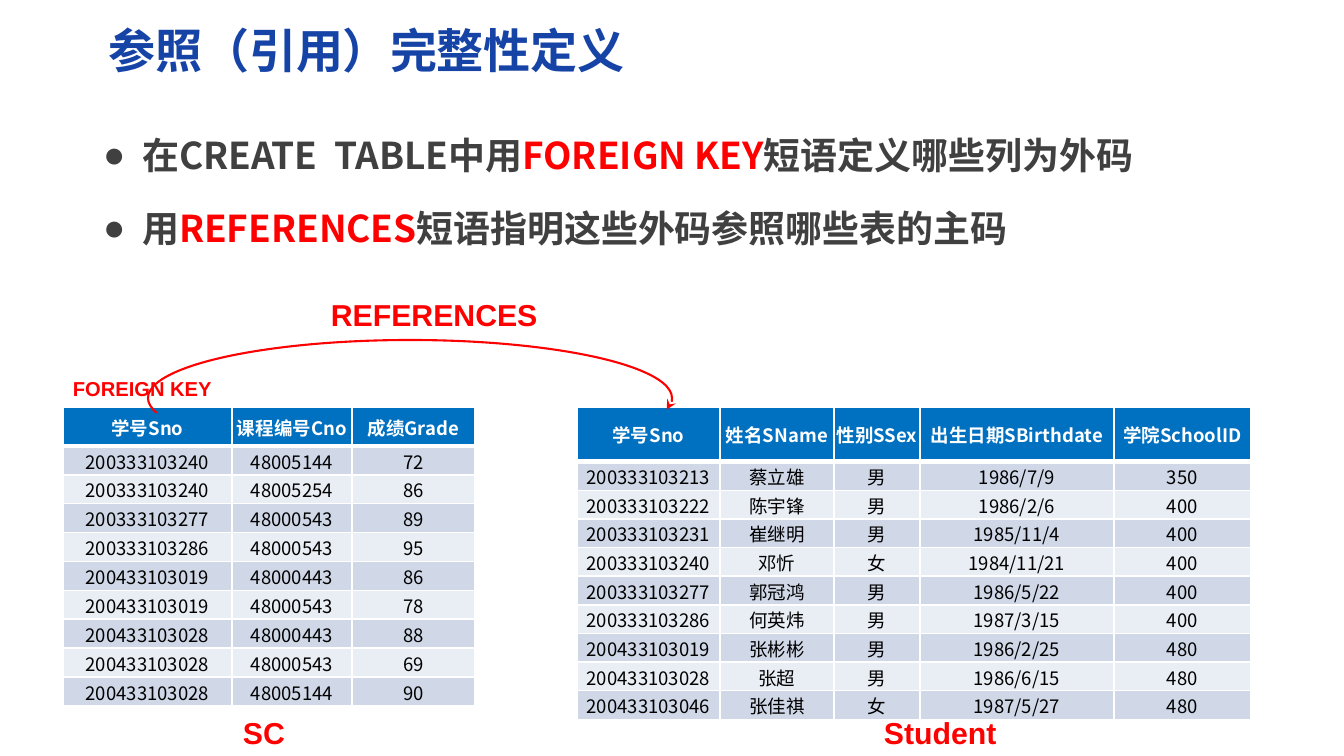
from dataclasses import dataclass

from lxml.etree import SubElement
from pptx import Presentation
from pptx.dml.color import RGBColor
from pptx.enum.shapes import MSO_SHAPE
from pptx.enum.text import MSO_ANCHOR, MSO_AUTO_SIZE, PP_ALIGN
from pptx.oxml import parse_xml
from pptx.oxml.ns import nsdecls, qn
from pptx.util import Pt

EMU_PER_PX = 914400 / 121


def px(length):
    return round(length * EMU_PER_PX)


def apply(target, values):
    for name, value in values.items():
        setattr(target, name, value)


@dataclass(frozen=True)
class Theme:
    # Colours
    title: str = "1543A6"
    body: str = "404040"
    accent: str = "FF0000"
    header: str = "0070C0"
    white: str = "FFFFFF"
    cell: str = "000000"
    bands: tuple = ("D0D8E8", "E9EDF4")
    # Fonts and type sizes
    text_font: str = "Noto Sans CJK SC"
    label_font: str = "Arial"
    title_size: int = 28
    body_size: int = 22
    table_size: int = 11
    label_size: int = 18
    small_size: int = 12


class SlideBuilder:
    def __init__(self, presentation, theme):
        self.theme = theme
        self.slide = presentation.slides.add_slide(presentation.slide_layouts[1])

    def place(self, shape, box):
        apply(shape, dict(zip(("left", "top", "width", "height"), map(px, box))))

    def run(self, paragraph, text, size, color, bold=True, font=None):
        run = paragraph.add_run()
        run.text = text
        name = font or self.theme.text_font
        apply(run.font, {"size": Pt(size), "bold": bold, "name": name})
        run.font.color.rgb = RGBColor.from_string(color)
        SubElement(run._r.get_or_add_rPr(), qn("a:ea"), typeface=name)

    def title(self, text, box):
        shape = self.slide.shapes.title
        self.place(shape, box)
        apply(shape.text_frame, {"auto_size": MSO_AUTO_SIZE.NONE, "word_wrap": True,
                                 "vertical_anchor": MSO_ANCHOR.MIDDLE})
        paragraph = shape.text_frame.paragraphs[0]
        paragraph.alignment = PP_ALIGN.LEFT
        self.run(paragraph, text, self.theme.title_size, self.theme.title)

    def bullets(self, items, box, indent):
        shape = self.slide.placeholders[1]
        self.place(shape, box)
        frame = shape.text_frame
        apply(frame, {"auto_size": MSO_AUTO_SIZE.NONE, "word_wrap": True,
                      "vertical_anchor": MSO_ANCHOR.TOP})
        for index, parts in enumerate(items):
            paragraph = frame.add_paragraph() if index else frame.paragraphs[0]
            properties = paragraph._p.get_or_add_pPr()
            properties.set("marL", str(px(indent)))
            properties.set("indent", str(-px(indent)))
            SubElement(properties, qn("a:buChar"), char="●")
            apply(paragraph, {"line_spacing": 1.55, "space_after": Pt(0),
                              "space_before": Pt(2.4 if index else 0)})
            for text, color in parts:
                self.run(paragraph, text, self.theme.body_size, color)

    def borders(self, cell, bottom):
        properties = cell._tc.get_or_add_tcPr()
        sides = {"lnL": 1, "lnR": 1, "lnT": 1, "lnB": bottom}
        for index, (side, width) in enumerate(sides.items()):
            properties.insert(index, parse_xml(
                f'<a:{side} {nsdecls("a")} w="{Pt(width)}"><a:solidFill>'
                f'<a:srgbClr val="{self.theme.white}"/></a:solidFill></a:{side}>'))

    def table(self, rows, left, top, widths, header_height, height):
        theme = self.theme
        frame = self.slide.shapes.add_table(
            len(rows), len(widths), px(left), px(top), px(sum(widths)), px(height))
        table = frame.table
        for column, width in zip(table.columns, widths):
            column.width = px(width)
        body_height = (height - header_height) / (len(rows) - 1)
        for row_index, values in enumerate(rows):
            is_header = row_index == 0
            table.rows[row_index].height = px(header_height if is_header else body_height)
            fill = theme.header if is_header else theme.bands[(row_index - 1) % 2]
            for column_index, text in enumerate(values):
                cell = table.cell(row_index, column_index)
                apply(cell, {"margin_left": px(1), "margin_right": px(1),
                             "margin_top": px(1), "margin_bottom": 0,
                             "vertical_anchor": MSO_ANCHOR.MIDDLE})
                cell.fill.solid()
                cell.fill.fore_color.rgb = RGBColor.from_string(fill)
                self.borders(cell, 3 if is_header else 1)
                paragraph = cell.text_frame.paragraphs[0]
                paragraph.alignment = PP_ALIGN.CENTER
                self.run(paragraph, text, theme.table_size,
                         theme.white if is_header else theme.cell, is_header)

    def arc_arrow(self, box, angles):
        arc = self.slide.shapes.add_shape(MSO_SHAPE.ARC, *map(px, box))
        arc.shadow.inherit = False
        arc.fill.background()
        for index, angle in enumerate(angles):
            arc.adjustments[index] = angle
        arc.line.color.rgb = RGBColor.from_string(self.theme.accent)
        arc.line.width = Pt(1.25)
        SubElement(arc.line._get_or_add_ln(), qn("a:tailEnd"), type="stealth")

    def label(self, text, box, size, wrap=False):
        frame = self.slide.shapes.add_textbox(*map(px, box)).text_frame
        apply(frame, {"word_wrap": wrap, "auto_size": MSO_AUTO_SIZE.SHAPE_TO_FIT_TEXT})
        self.run(frame.paragraphs[0], text, size, self.theme.accent,
                 font=self.theme.label_font)


STUDENT_ROWS = [
    ("学号Sno", "姓名SName", "性别SSex", "出生日期SBirthdate", "学院SchoolID"),
    ("200333103213", "蔡立雄", "男", "1986/7/9", "350"),
    ("200333103222", "陈宇锋", "男", "1986/2/6", "400"),
    ("200333103231", "崔继明", "男", "1985/11/4", "400"),
    ("200333103240", "邓忻", "女", "1984/11/21", "400"),
    ("200333103277", "郭冠鸿", "男", "1986/5/22", "400"),
    ("200333103286", "何英炜", "男", "1987/3/15", "400"),
    ("200433103019", "张彬彬", "男", "1986/2/25", "480"),
    ("200433103028", "张超", "男", "1986/6/15", "480"),
    ("200433103046", "张佳祺", "女", "1987/5/27", "480"),
]
SC_ROWS = [
    ("学号Sno", "课程编号Cno", "成绩Grade"),
    ("200333103240", "48005144", "72"),
    ("200333103240", "48005254", "86"),
    ("200333103277", "48000543", "89"),
    ("200333103286", "48000543", "95"),
    ("200433103019", "48000443", "86"),
    ("200433103019", "48000543", "78"),
    ("200433103028", "48000443", "88"),
    ("200433103028", "48000543", "69"),
    ("200433103028", "48005144", "90"),
]


def main():
    presentation = Presentation()
    apply(presentation, {"slide_width": px(1344), "slide_height": px(756)})
    theme = Theme()
    builder = SlideBuilder(presentation, theme)

    # Title and key points
    builder.title("参照（引用）完整性定义", (96, 15, 1187, 69))
    builder.bullets([
        [("在CREATE  TABLE中用", theme.body), ("FOREIGN KEY", theme.accent),
         ("短语定义哪些列为外码", theme.body)],
        [("用", theme.body), ("REFERENCES", theme.accent),
         ("短语指明这些外码参照哪些表的主码", theme.body)],
    ], (91, 102, 1191, 571), 39)

    # Referenced and referencing tables
    builder.table(STUDENT_ROWS, 577, 407, (143, 114, 86, 194, 137), 40, 298)
    builder.table(SC_ROWS, 63, 407, (169, 120, 123), 39, 299)

    # Reference arrow and labels
    builder.arc_arrow((148, 340, 524, 116), (105.98, 1.55))
    builder.label("FOREIGN KEY", (61, 370, 340, 36), theme.small_size, wrap=True)
    for text, left, top, width in (("REFERENCES", 319, 290, 234),
                                   ("SC", 231, 708, 67), ("Student", 872, 708, 138)):
        builder.label(text, (left, top, width, 48), theme.label_size)

    presentation.save("out.pptx")


if __name__ == "__main__":
    main()
